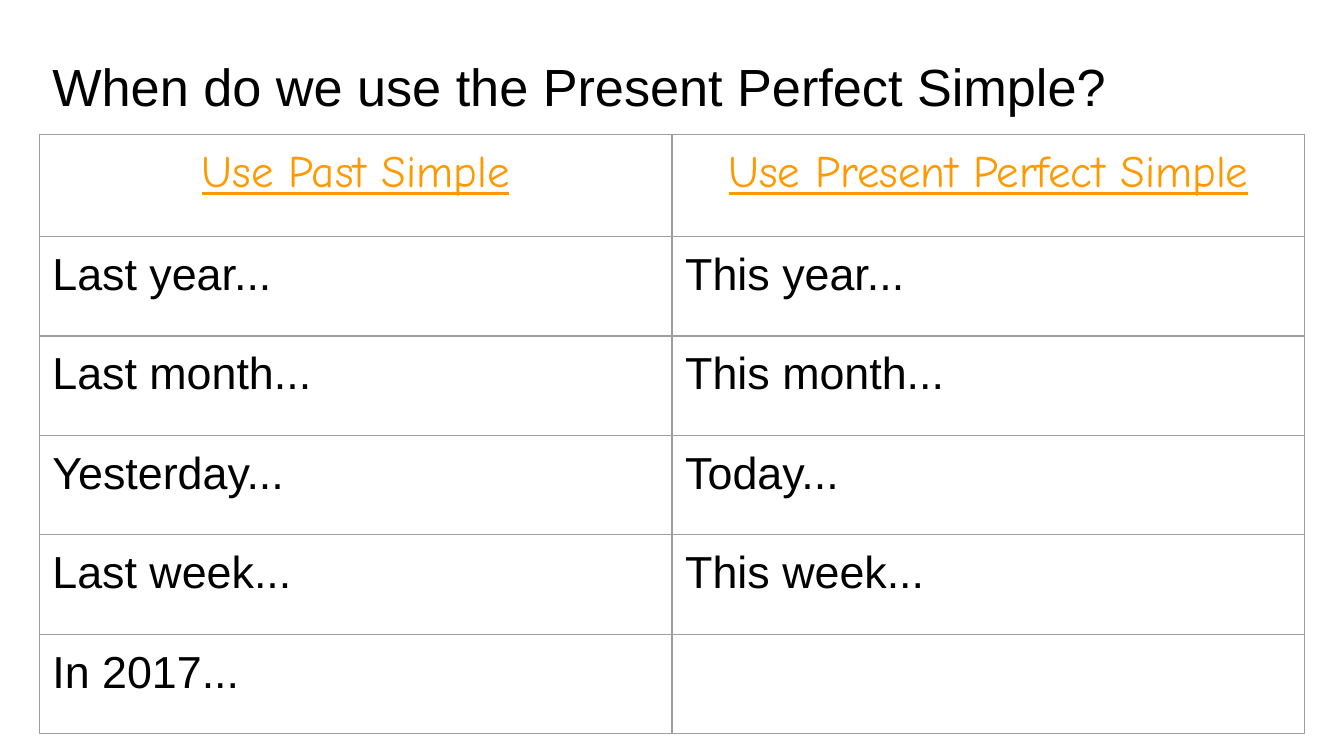
from dataclasses import dataclass

from lxml import etree
from pptx import Presentation
from pptx import util as u
from pptx.dml.color import RGBColor
from pptx.enum import text
from pptx.oxml import ns

BLACK = "000000"
ORANGE = "FF9900"
WHITE = "FFFFFF"
GREY = "9E9E9E"

LEFT = u.Cm(0.74)
INSET = u.Cm(0.25)
TABLE_TOP = u.Cm(2.54)
COLUMN_WIDTH = u.Cm(11.96)
HEADER_HEIGHT = u.Cm(1.93)
ROW_HEIGHT = u.Cm(1.88)

MARGINS = {f"margin_{side}": INSET for side in ("left", "top", "right", "bottom")}


@dataclass(frozen=True)
class Style:
    size: float
    font: str
    color: str
    underline: bool = False
    align: text.PP_ALIGN = text.PP_ALIGN.LEFT


@dataclass(frozen=True)
class Row:
    past: str
    perfect: str


TITLE = Style(28, "Arial", BLACK)
HEADER = Style(24, "Comic Neue", ORANGE, True, text.PP_ALIGN.CENTER)
BODY = Style(24, "Arial", BLACK)

ROWS = [
    Row("Use Past Simple", "Use Present Perfect Simple"),
    Row("Last year...", "This year..."),
    Row("Last month...", "This month..."),
    Row("Yesterday...", "Today..."),
    Row("Last week...", "This week..."),
    Row("In 2017...", ""),
]


def rgb(value: str) -> RGBColor:
    return RGBColor.from_string(value)


def apply(target, values: dict) -> None:
    for name, value in values.items():
        setattr(target, name, value)


def write(frame, words: str, style: Style) -> None:
    para = frame.paragraphs[0]
    para.alignment = style.align
    if words:
        span = para.add_run()
        span.text = words
        font = span.font
    else:
        font = para.font
    apply(font, {
        "size": u.Pt(style.size),
        "name": style.font,
        "bold": False,
        "underline": style.underline,
    })
    font.color.rgb = rgb(style.color)


def add_borders(cell, color: str, width: float) -> None:
    properties = cell._tc.get_or_add_tcPr()
    for index, side in enumerate(("lnL", "lnR", "lnT", "lnB")):
        line = etree.Element(ns.qn(f"a:{side}"), w=str(u.Pt(width)))
        fill = etree.SubElement(line, ns.qn("a:solidFill"))
        etree.SubElement(fill, ns.qn("a:srgbClr"), val=color)
        properties.insert(index, line)


def add_title(page, words: str) -> None:
    box = page.shapes.title
    apply(box, {
        "left": LEFT,
        "top": u.Cm(0.66),
        "width": u.Cm(23.67),
        "height": u.Cm(1.6),
    })
    frame = box.text_frame
    apply(frame, MARGINS | {
        "margin_top": u.Cm(0.36),
        "word_wrap": True,
        "auto_size": text.MSO_AUTO_SIZE.NONE,
        "vertical_anchor": text.MSO_ANCHOR.TOP,
    })
    write(frame, words, TITLE)
    apply(frame.paragraphs[0], {"line_spacing": 1.0, "space_before": u.Pt(0)})


def add_time_table(page, rows: list[Row]) -> None:
    heights = [HEADER_HEIGHT] + [ROW_HEIGHT] * (len(rows) - 1)
    table = page.shapes.add_table(
        len(rows), 2, LEFT, TABLE_TOP, 2 * COLUMN_WIDTH, sum(heights)
    ).table
    apply(table, {"first_row": False, "horz_banding": False})
    for column in table.columns:
        column.width = COLUMN_WIDTH
    for index, (row, height) in enumerate(zip(rows, heights)):
        table.rows[index].height = height
        style = HEADER if index == 0 else BODY
        for cell, words in zip(table.rows[index].cells, (row.past, row.perfect)):
            apply(cell, MARGINS)
            cell.fill.solid()
            cell.fill.fore_color.rgb = rgb(WHITE)
            add_borders(cell, GREY, 0.75)
            write(cell.text_frame, words, style)


def main() -> None:
    deck = Presentation()
    apply(deck, {"slide_width": u.Cm(25.4), "slide_height": u.Cm(14.29)})
    page = deck.slides.add_slide(deck.slide_layouts[5])
    add_title(page, "When do we use the Present Perfect Simple?")
    add_time_table(page, ROWS)
    deck.save("out.pptx")


if __name__ == "__main__":
    main()
